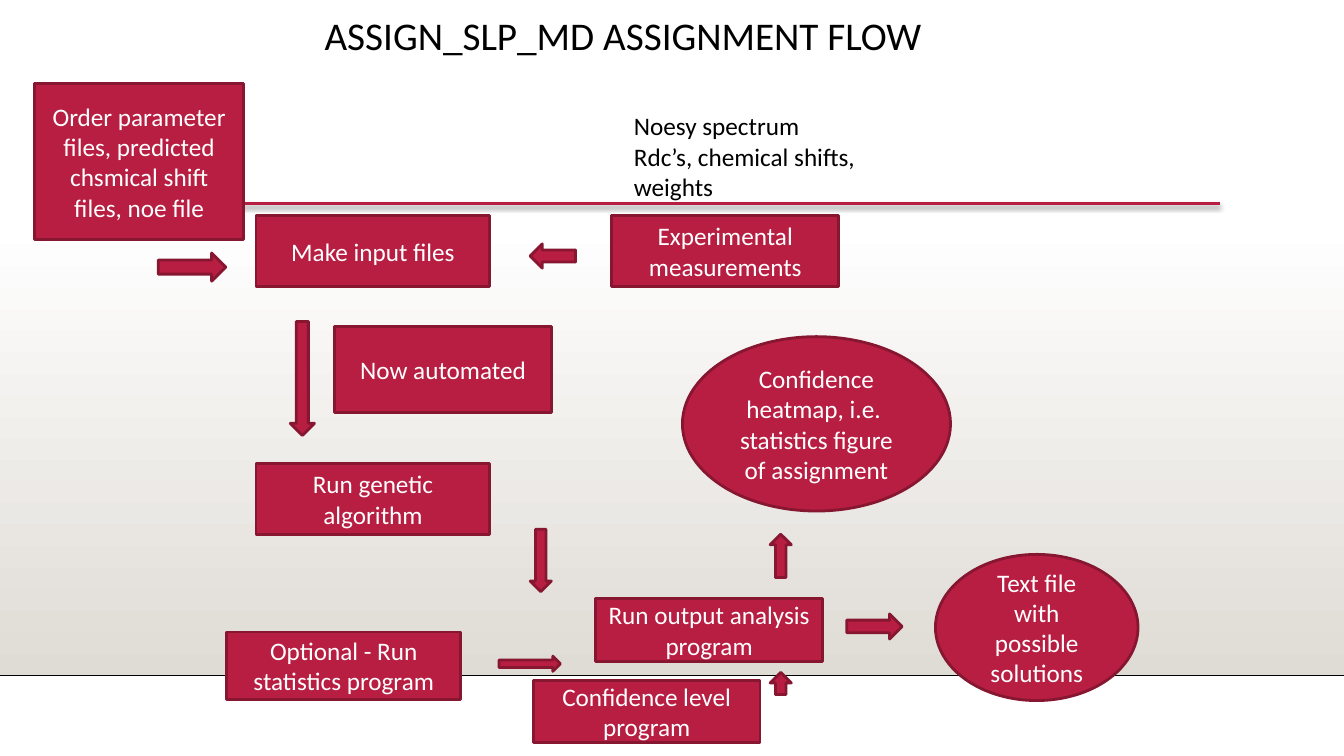
from dataclasses import dataclass

from lxml import etree
from pptx import Presentation
from pptx.dml.color import RGBColor
from pptx.enum.shapes import MSO_CONNECTOR, MSO_SHAPE
from pptx.enum.text import MSO_ANCHOR, MSO_AUTO_SIZE, PP_ALIGN
from pptx.oxml import parse_xml
from pptx.oxml.ns import nsdecls, qn
from pptx.util import Emu, Inches, Pt

RECT, OVAL = MSO_SHAPE.RECTANGLE, MSO_SHAPE.OVAL
LEFT, RIGHT = MSO_SHAPE.LEFT_ARROW, MSO_SHAPE.RIGHT_ARROW
UP, DOWN = MSO_SHAPE.UP_ARROW, MSO_SHAPE.DOWN_ARROW

COLORS = {"crimson": "B71E42", "edge": "871631", "sand": "DFDBD5",
          "white": "FFFFFF", "black": "000000", "floor": "000001"}
FONT = "Calibri"
CELL = Inches(0.1)  # side of one grid column or row
COLS, ROWS = 133.33, 75
FLOOR_ROW, RULE_ROW = 67, 20.2


@dataclass(frozen=True)
class Node:
    """A filled shape placed by grid column and row."""
    kind: MSO_SHAPE
    col: float
    row: float
    cols: float
    rows: float
    text: str = ""


STEPS = [
    Node(RECT, 25.4, 21.4, 23.2, 7, "Make input files"),
    Node(RECT, 60.7, 21.4, 22.5, 7, "Experimental measurements"),
    Node(RECT, 33.2, 32.4, 21.5, 8.5, "Now automated"),
    Node(RECT, 25.4, 46, 23.2, 7, "Run genetic algorithm"),
    Node(RECT, 22.5, 62.7, 23.2, 6.7, "Optional - Run statistics program"),
    Node(RECT, 59.1, 59.4, 22.5, 6.2, "Run output analysis program"),
    Node(RECT, 52.9, 67.5, 22.5, 6.2, "Confidence level program"),
    Node(RECT, 3.4, 8.3, 20.8, 15.5,
         "Order parameter files, predicted chsmical shift files, noe file"),
    Node(OVAL, 92.8, 55, 20.1, 14.5, "Text file with possible solutions"),
    Node(OVAL, 67.7, 33.4, 26.6, 17.3,
         "Confidence heatmap, i.e.  statistics figure of assignment"),
]
ARROWS = [
    Node(RIGHT, 15.7, 25.1, 6.7, 2.8),
    Node(LEFT, 52.6, 24.2, 4.5, 2.4),
    Node(DOWN, 28.8, 31.9, 2.4, 11.3),
    Node(DOWN, 52.6, 52.5, 2.1, 6.2),
    Node(RIGHT, 49.5, 65.1, 6.1, 1.5),
    Node(UP, 76.4, 66.7, 2.1, 2.2),
    Node(UP, 76.4, 53, 2.1, 4.3),
    Node(RIGHT, 84, 60.9, 5.5, 2.5),
]


def grid(*cells: float) -> list[Emu]:
    return [Emu(round(c * CELL)) for c in cells]


def rgb(name: str) -> RGBColor:
    return RGBColor.from_string(COLORS[name])


def add_run(p, text: str, size: float, color: str) -> None:
    r = p.add_run()
    r.text = text
    r.font.name, r.font.size = FONT, Pt(size)
    r.font.color.rgb = rgb(color)


def draw_node(s, node: Node) -> None:
    sp = s.shapes.add_shape(node.kind, *grid(node.col, node.row, node.cols, node.rows))
    sp.shadow.inherit = False
    sp.fill.solid()
    sp.fill.fore_color.rgb = rgb("crimson")
    sp.line.color.rgb = rgb("edge")
    sp.line.width = Pt(2)
    if node.text:
        tf = sp.text_frame
        tf.word_wrap, tf.vertical_anchor = True, MSO_ANCHOR.MIDDLE
        p = tf.paragraphs[0]
        p.alignment = PP_ALIGN.CENTER
        add_run(p, node.text, 18, "white")


def draw_line(s, start: float, end: float, row: float, color: str, width: float):
    """Draw a level line and return its empty effect list."""
    line = s.shapes.add_connector(MSO_CONNECTOR.STRAIGHT, *grid(start, row, end, row))
    line.line.color.rgb = rgb(color)
    line.line.width = Pt(width)
    return etree.SubElement(line._element.spPr, qn("a:effectLst"))


def draw_backdrop(s) -> None:
    panel = s.shapes.add_shape(RECT, *grid(0, 22.1, COLS, FLOOR_ROW - 22.1))
    panel.shadow.inherit = False
    panel.line.fill.background()
    panel.fill.gradient()
    panel.fill.gradient_angle = 270
    for stop, color in zip(panel.fill.gradient_stops, ("white", "sand")):
        stop.color.rgb = rgb(color)
    draw_line(s, 0, COLS, FLOOR_ROW, "floor", 1)
    effects = draw_line(s, 15.9, 121, RULE_ROW, "crimson", 2.5)
    effects.append(parse_xml(
        f'<a:outerShdw {nsdecls("a")} blurRad="{Pt(3.1)}" dist="{Pt(1.8)}" '
        f'dir="5400000" rotWithShape="0"><a:srgbClr val="{COLORS["black"]}">'
        '<a:alpha val="35000"/></a:srgbClr></a:outerShdw>'))


def draw_title(s) -> None:
    title = s.shapes.title
    title.left, title.top, title.width, title.height = grid(31.2, 1.1, 114, 7.5)
    s.shapes._spTree.append(title._element)  # bring in front of the backdrop
    tf = title.text_frame
    tf.word_wrap, tf.vertical_anchor = True, MSO_ANCHOR.TOP
    tf.auto_size = MSO_AUTO_SIZE.NONE
    p = tf.paragraphs[0]
    p.alignment, p.line_spacing = PP_ALIGN.LEFT, 0.9
    add_run(p, "ASSIGN_SLP_MD ASSIGNMENT FLOW", 28, "black")


def draw_measurement_note(s) -> None:
    tf = s.shapes.add_textbox(*grid(61.9, 10.5, 27.4, 10)).text_frame
    tf.word_wrap, tf.auto_size = True, MSO_AUTO_SIZE.SHAPE_TO_FIT_TEXT
    add_run(tf.paragraphs[0], "Noesy spectrum", 18, "black")
    add_run(tf.add_paragraph(), "Rdc’s, chemical shifts, weights", 18, "black")


def main() -> None:
    prs = Presentation()
    prs.slide_width, prs.slide_height = grid(COLS, ROWS)
    s = prs.slides.add_slide(prs.slide_layouts[5])

    # Background and heading
    draw_backdrop(s)
    draw_title(s)

    # Flow chart
    draw_measurement_note(s)
    for node in STEPS + ARROWS:
        draw_node(s, node)

    prs.save("out.pptx")


if __name__ == "__main__":
    main()
